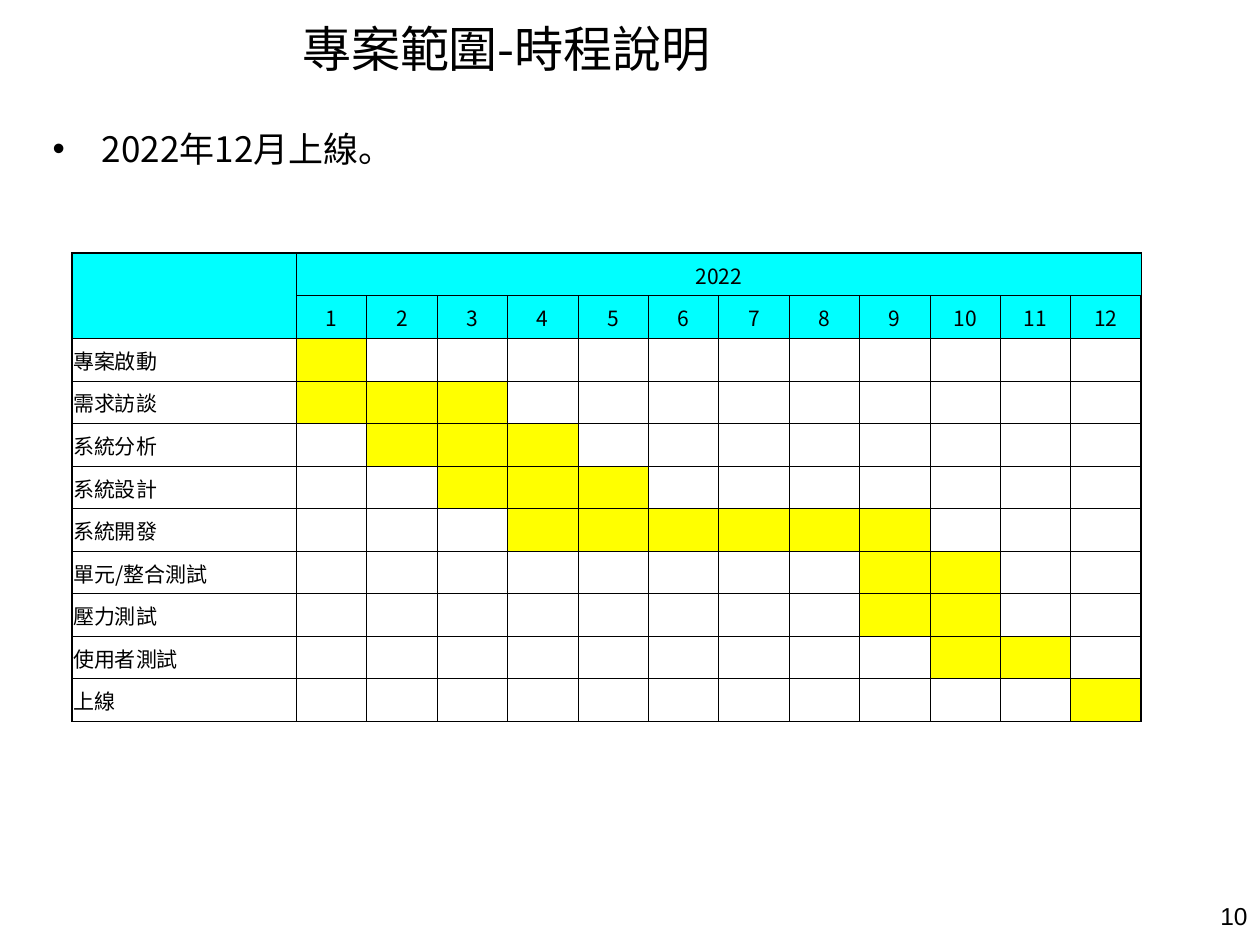
from collections import namedtuple

from lxml import etree
from pptx import Presentation
from pptx.dml.color import RGBColor
from pptx.enum import text
from pptx.oxml import ns
from pptx import util as u

Box = namedtuple("Box", "left top width height")

SLIDE_WIDTH, SLIDE_HEIGHT = u.Inches(10), u.Inches(7.5)
COLORS = {"ink": "000000", "header": "00FFFF", "active": "FFFF00"}
TC, SC, ARIAL = "Noto Sans CJK TC", "Noto Sans CJK SC", "Arial"
THIN, THICK = u.Pt(0.5), u.Pt(1)
MONTHS = 12
HEADER_ROWS = 2
# Task, first month, last month
TASKS = [
    ("專案啟動", 1, 1),
    ("需求訪談", 1, 3),
    ("系統分析", 2, 4),
    ("系統設計", 3, 5),
    ("系統開發", 4, 9),
    ("單元/整合測試", 9, 10),
    ("壓力測試", 9, 10),
    ("使用者測試", 10, 11),
    ("上線", 12, 12),
]


def slide_box(left, top, width, height):
    """Box from percentages of the slide's width and height."""
    return Box(*(int(share * side / 100) for share, side in zip(
        (left, top, width, height), (SLIDE_WIDTH, SLIDE_HEIGHT) * 2)))


def add_run(paragraph, words, size, font):
    run = paragraph.add_run()
    run.text = words
    run.font.size = u.Pt(size)
    run.font.name = font
    run.font.color.rgb = RGBColor.from_string(COLORS["ink"])
    east_asian = etree.SubElement(run._r.get_or_add_rPr(), ns.qn("a:ea"))
    east_asian.set("typeface", font)


def add_line(slide, box, words, size, font):
    """Text box with one paragraph, which is returned."""
    frame = slide.shapes.add_textbox(*box).text_frame
    frame.word_wrap = True
    paragraph = frame.paragraphs[0]
    add_run(paragraph, words, size, font)
    return paragraph


def add_title(slide, box):
    add_line(slide, box, "專案範圍-時程說明", 28, TC).line_spacing = 0.9


def add_launch_note(slide, box):
    note = add_line(slide, box, "2022年12月上線。", 20, TC)
    note.line_spacing = 0.9
    note.space_before = u.Pt(4)
    properties = note._p.get_or_add_pPr()
    properties.set("marL", str(u.Inches(0.5)))
    properties.set("indent", str(u.Inches(-0.39)))
    bullet_font = etree.SubElement(properties, ns.qn("a:buFont"))
    bullet_font.set("typeface", ARIAL)
    etree.SubElement(properties, ns.qn("a:buChar")).set("char", "•")


def add_page_number(slide, box):
    add_line(slide, box, "10", 14, ARIAL).alignment = text.PP_ALIGN.RIGHT


def set_borders(cell, widths):
    """Widths run left, right, top, bottom; lines go before the cell's fill."""
    properties = cell._tc.get_or_add_tcPr()
    for place, (side, width) in enumerate(zip("LRTB", widths)):
        line = etree.Element(ns.qn(f"a:ln{side}"), w=str(width))
        fill = etree.SubElement(line, ns.qn("a:solidFill"))
        etree.SubElement(fill, ns.qn("a:srgbClr")).set("val", COLORS["ink"])
        properties.insert(place, line)


def style_cell(cell, color, widths):
    cell.margin_left = cell.margin_right = cell.margin_top = u.Inches(0.01)
    cell.margin_bottom = 0
    cell.vertical_anchor = text.MSO_ANCHOR.MIDDLE
    if color:
        cell.fill.solid()
        cell.fill.fore_color.rgb = RGBColor.from_string(COLORS[color])
    else:
        cell.fill.background()
    set_borders(cell, widths)


def write_cell(cell, words, centred=False):
    paragraph = cell.text_frame.paragraphs[0]
    if centred:
        paragraph.alignment = text.PP_ALIGN.CENTER
    add_run(paragraph, words, 12, SC)


def cell_color(row, month):
    if row < HEADER_ROWS:
        return "header"
    _, first, last = TASKS[row - HEADER_ROWS]
    return "active" if first <= month <= last else None


def add_schedule(slide, box):
    row_count = HEADER_ROWS + len(TASKS)
    schedule = slide.shapes.add_table(row_count, MONTHS + 1, *box).table
    schedule.first_row = schedule.horz_banding = False

    task_width = int(box.width * 0.21)
    for month, column in enumerate(schedule.columns):
        column.width = (box.width - task_width) // MONTHS if month else task_width
    for row in schedule.rows:
        row.height = box.height // row_count

    for row in range(row_count):
        for month in range(MONTHS + 1):
            edges = (month == 0, month == MONTHS, row == 0, row == row_count - 1)
            style_cell(schedule.cell(row, month), cell_color(row, month),
                       [THICK if edge else THIN for edge in edges])

    schedule.cell(0, 0).merge(schedule.cell(1, 0))
    schedule.cell(0, 1).merge(schedule.cell(0, MONTHS))
    write_cell(schedule.cell(0, 1), "2022", centred=True)
    for month in range(1, MONTHS + 1):
        write_cell(schedule.cell(1, month), str(month), centred=True)
    for row, (task, _, _) in enumerate(TASKS, HEADER_ROWS):
        write_cell(schedule.cell(row, 0), task)


def main():
    deck = Presentation()
    deck.slide_width, deck.slide_height = SLIDE_WIDTH, SLIDE_HEIGHT
    slide = deck.slides.add_slide(deck.slide_layouts[6])
    add_page_number(slide, slide_box(92.4, 94.67, 7.6, 5.33))
    add_title(slide, slide_box(23, 2, 70.1, 9.2))
    add_launch_note(slide, slide_box(2.1, 13.33, 95.3, 82))
    add_schedule(slide, slide_box(5.7, 26.8, 84.9, 49.6))
    deck.save("out.pptx")


if __name__ == "__main__":
    main()
